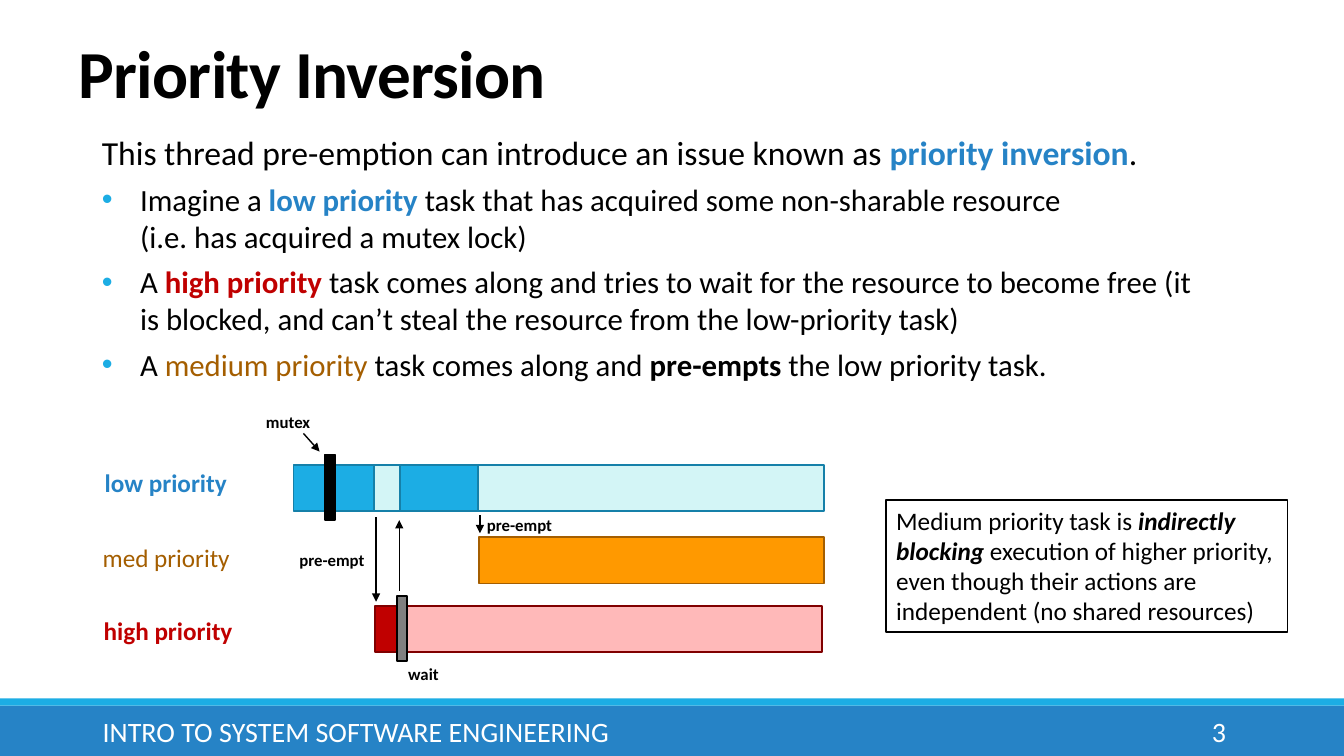
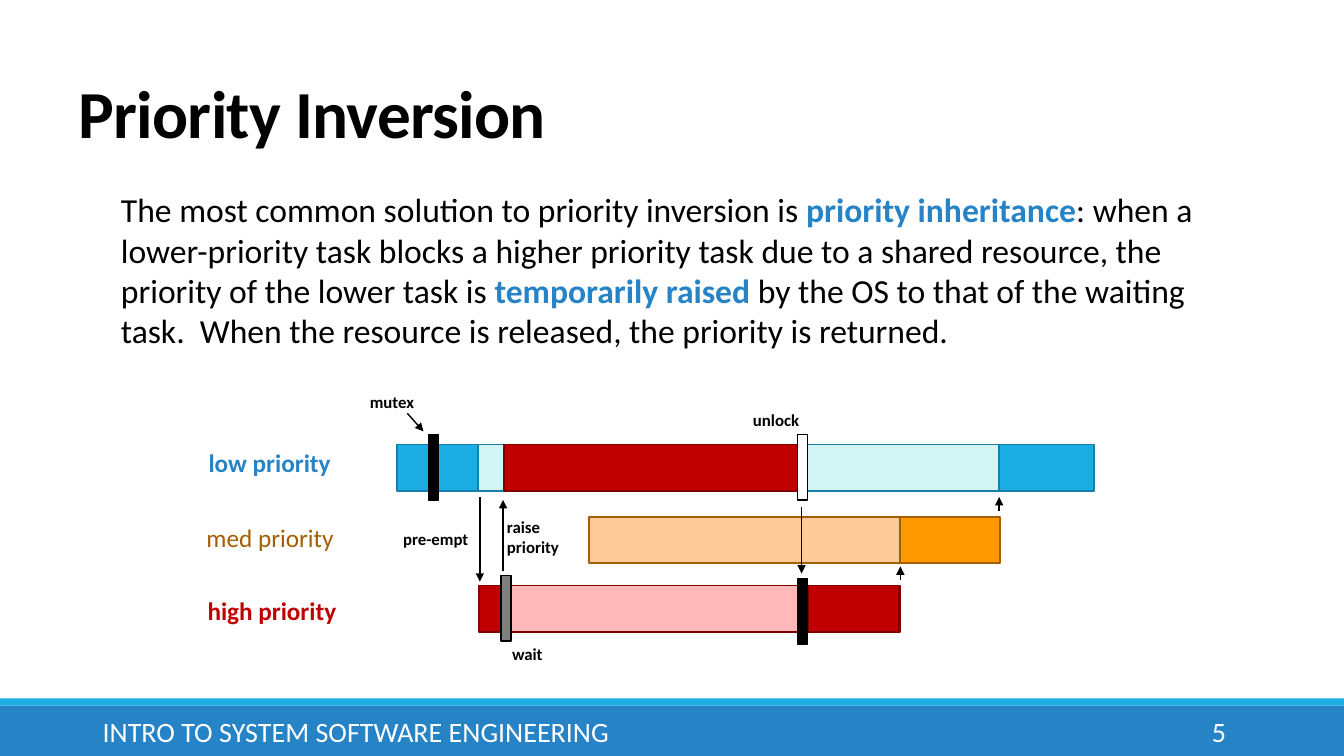
from dataclasses import dataclass
from typing import NamedTuple, Optional, Sequence

from lxml.etree import SubElement
from pptx import Presentation
from pptx.dml.color import RGBColor
from pptx.enum.shapes import MSO_CONNECTOR as Connector, MSO_SHAPE as Preset
from pptx.enum.text import MSO_ANCHOR as Anchor, MSO_AUTO_SIZE as AutoSize, PP_ALIGN as Align
from pptx.oxml.ns import qn
from pptx.util import Inches, Pt


@dataclass(frozen=True)
class Theme:
    """Colours, font and type sizes (points) of the deck."""
    font: str = "Calibri"
    black: str = "000000"
    white: str = "FFFFFF"
    grey: str = "808080"
    blue: str = "2683C6"
    sky: str = "1CADE4"
    sky_edge: str = "1580A9"
    sky_pale: str = "D3F5F6"
    red: str = "C00000"
    red_edge: str = "800000"
    red_pale: str = "FFB9B9"
    orange: str = "FF9900"
    orange_edge: str = "A45E00"
    orange_pale: str = "FFCC99"
    title: float = 48
    lead: float = 24
    bullet: float = 22
    footer: float = 20
    label: float = 18
    tag: float = 12
    outline: float = 1.25
    arrow: float = 1


THEME = Theme()


class Box(NamedTuple):
    """Left, top, width and height in inches."""
    left: float
    top: float
    width: float
    height: float


class Span(NamedTuple):
    """A stretch of text in one style."""
    text: str
    color: str = THEME.black
    bold: bool = False
    italic: bool = False


class Para(NamedTuple):
    """A paragraph of spans."""
    spans: Sequence[Span]
    size: float
    bullet: bool = False
    after: float = 0


class Paint(NamedTuple):
    """Fill and outline colours."""
    fill: str
    edge: str


class Lane(NamedTuple):
    """A task's row; top is measured from the top of the first lane."""
    name: Span
    top: float
    label: Box


class Bar(NamedTuple):
    """A period in which a task is in one state."""
    lane: Lane
    start: float
    length: float
    paint: Paint


class Gate(NamedTuple):
    """An event marker standing across a lane."""
    lane: Lane
    start: float
    fill: str
    rise: float = 0.1


class Arrow(NamedTuple):
    """A straight arrow between two points."""
    x1: float
    y1: float
    x2: float
    y2: float


class Tag(NamedTuple):
    """A small bold caption."""
    text: str
    box: Box
    wrap: bool = False


class Timeline(NamedTuple):
    """A scheduling diagram, placed by the top left of its first lane."""
    left: float
    top: float
    bars: Sequence[Bar]
    gates: Sequence[Gate]
    arrows: Sequence[Arrow]
    tags: Sequence[Tag]


LANE_HEIGHT, GATE_WIDTH, GATE_HEIGHT = 0.46, 0.1, 0.65
LOW = Lane(Span("low priority ", THEME.blue, True), 0, Box(-1.97, -0.02, 1.48, 0.4))
MED = Lane(Span("med priority ", THEME.orange_edge), 0.72, Box(-1.99, 0.72, 1.53, 0.4))
HIGH = Lane(Span("high priority ", THEME.red, True), 1.4, Box(-1.98, 1.45, 1.55, 0.4))

LOW_RUN = Paint(THEME.sky, THEME.sky_edge)
LOW_WAIT = Paint(THEME.sky_pale, THEME.sky_edge)
MED_RUN = Paint(THEME.orange, THEME.orange_edge)
MED_WAIT = Paint(THEME.orange_pale, THEME.orange_edge)
HIGH_RUN = Paint(THEME.red, THEME.red_edge)
HIGH_WAIT = Paint(THEME.red_pale, THEME.red_edge)

START_BARS = [Bar(LOW, 0, 3.42, LOW_RUN), Bar(HIGH, 0.81, 2.97, HIGH_RUN),
              Bar(LOW, 0.8, 0.26, LOW_WAIT)]
START_GATES = [Gate(LOW, 0.31, THEME.black), Gate(HIGH, 1.03, THEME.grey)]
START_ARROWS = [Arrow(0.1, -0.31, 0.26, -0.13), Arrow(0.82, 0.52, 0.82, 1.36),
                Arrow(1.05, 1.25, 1.05, 0.55)]
START_TAGS = [Tag("mutex", Box(-0.37, -0.57, 0.64, 0.3)),
              Tag("pre-empt", Box(-0.04, 0.79, 0.86, 0.3)),
              Tag("wait", Box(1.04, 1.93, 0.51, 0.3))]


def rgb(color: str) -> RGBColor:
    """Turn a hex string into a colour."""
    return RGBColor.from_string(color)


def add_bullet(para) -> None:
    """Give a paragraph a hanging sky-blue bullet."""
    props = para._p.get_or_add_pPr()
    props.set("marL", str(Inches(0.38)))
    props.set("indent", str(-Inches(0.38)))
    SubElement(SubElement(props, qn("a:buClr")), qn("a:srgbClr")).set("val", THEME.sky)
    SubElement(props, qn("a:buFont")).set("typeface", "Arial")
    SubElement(props, qn("a:buChar")).set("char", "•")


def write(frame, paras: Sequence[Para], align=Align.LEFT) -> None:
    """Fill a text frame run by run; a newline becomes a line break."""
    for index, item in enumerate(paras):
        para = frame.paragraphs[0] if index == 0 else frame.add_paragraph()
        para.alignment = align
        para.space_after = Pt(item.after)
        if item.bullet:
            add_bullet(para)
        for span in item.spans:
            for number, line in enumerate(span.text.split("\n")):
                if number:
                    para.add_line_break()
                run = para.add_run()
                run.text = line
                run.font.name, run.font.size = THEME.font, Pt(item.size)
                run.font.bold, run.font.italic = span.bold, span.italic
                run.font.color.rgb = rgb(span.color)


def add_text(page, box: Box, paras: Sequence[Para], wrap: bool = True,
             anchor=Anchor.TOP, align=Align.LEFT):
    """Add a text box and return its frame."""
    frame = page.shapes.add_textbox(*map(Inches, box)).text_frame
    frame.word_wrap = wrap
    frame.vertical_anchor = anchor
    write(frame, paras, align)
    return frame


def add_rect(page, box: Box, fill: str, edge: Optional[str] = None):
    """Add a flat rectangle, outlined when an edge colour is given."""
    rect = page.shapes.add_shape(Preset.RECTANGLE, *map(Inches, box))
    rect.shadow.inherit = False
    rect.fill.solid()
    rect.fill.fore_color.rgb = rgb(fill)
    if edge:
        rect.line.color.rgb = rgb(edge)
        rect.line.width = Pt(THEME.outline)
    else:
        rect.line.fill.background()
    return rect


def add_arrow(page, arrow: Arrow) -> None:
    """Add a thin black arrow."""
    line = page.shapes.add_connector(Connector.STRAIGHT, *map(Inches, arrow))
    line.line.color.rgb = rgb(THEME.black)
    line.line.width = Pt(THEME.arrow)
    props = line.element.spPr
    SubElement(props.find(qn("a:ln")), qn("a:tailEnd")).set("type", "triangle")
    SubElement(props, qn("a:effectLst"))


def add_page(deck, number: int, title_top: float):
    """Add a page with the shared bands, title and footer."""
    page = deck.slides.add_slide(deck.slide_layouts[6])
    add_rect(page, Box(0, 7, 13.33, 0.5), THEME.blue)
    add_rect(page, Box(0, 6.93, 13.33, 0.07), THEME.sky)
    title = add_text(page, Box(0.68, title_top, 11, 0.85),
                     [Para([Span("Priority Inversion", bold=True)], THEME.title)],
                     anchor=Anchor.BOTTOM).paragraphs[0]
    title.line_spacing = 0.85
    title.runs[0]._r.get_or_add_rPr().set("spc", "-50")
    for text, left, width, align in (
            ("INTRO TO SYSTEM SOFTWARE ENGINEERING", 0.92, 8.39, Align.LEFT),
            (str(number), 10.83, 1.43, Align.RIGHT)):
        add_text(page, Box(left, 7.06, width, 0.4),
                 [Para([Span(text, THEME.white)], THEME.footer)],
                 anchor=Anchor.MIDDLE, align=align)
    return page


def add_body(page, box: Box, paras: Sequence[Para]) -> None:
    """Add the main text, flush with its box."""
    frame = add_text(page, box, paras)
    frame.margin_left = frame.margin_right = 0


def add_timeline(page, plan: Timeline) -> None:
    """Draw bars, gates, arrows and captions over the three lanes."""
    def place(box: Box) -> Box:
        """Move a box from the diagram to the page."""
        return box._replace(left=plan.left + box.left, top=plan.top + box.top)

    for bar in plan.bars:
        add_rect(page, place(Box(bar.start, bar.lane.top, bar.length, LANE_HEIGHT)), *bar.paint)
    for gate in plan.gates:
        add_rect(page, place(Box(gate.start, gate.lane.top - gate.rise, GATE_WIDTH, GATE_HEIGHT)),
                 gate.fill, THEME.black)
    for x1, y1, x2, y2 in plan.arrows:
        add_arrow(page, Arrow(plan.left + x1, plan.top + y1, plan.left + x2, plan.top + y2))
    captions = [(lane.label, lane.name, THEME.label, False) for lane in (LOW, MED, HIGH)]
    captions += [(tag.box, Span(tag.text, bold=True), THEME.tag, tag.wrap) for tag in plan.tags]
    for box, span, size, wrap in captions:
        frame = add_text(page, place(box), [Para([span], size)], wrap)
        frame.auto_size = AutoSize.SHAPE_TO_FIT_TEXT


def build_problem(deck) -> None:
    """Explain how priority inversion arises."""
    page = add_page(deck, 3, 0.31)
    points = [
        [Span("Imagine a "), Span("low priority", THEME.blue, True),
         Span(" task that has acquired some non-sharable resource \n(i.e. has acquired a mutex lock)")],
        [Span("A "), Span("high priority ", THEME.red, True),
         Span("task comes along and tries to wait for the resource to become free "
              "(it is blocked, and can’t steal the resource from the low-priority task)")],
        [Span("A "), Span("medium priority", THEME.orange_edge), Span(" task comes along and "),
         Span("pre-empts", bold=True), Span(" the low priority task.")],
    ]
    lead = [Span("This thread pre-emption can introduce an issue known as "),
            Span("priority inversion", THEME.blue, True), Span(".")]
    add_body(page, Box(1.01, 1.26, 11, 3.1), [Para(lead, THEME.lead, after=6)]
             + [Para(point, THEME.bullet, True, 6) for point in points])
    add_timeline(page, Timeline(
        2.91, 4.61,
        START_BARS + [Bar(HIGH, 1.03, 4.21, HIGH_WAIT), Bar(MED, 1.84, 3.42, MED_RUN),
                      Bar(LOW, 1.83, 3.43, LOW_WAIT)],
        START_GATES,
        START_ARROWS + [Arrow(1.85, 0.5, 1.85, 0.68)],
        START_TAGS + [Tag("pre-empt", Box(1.82, 0.45, 0.86, 0.3))]))
    note = add_rect(page, Box(8.79, 4.96, 3.98, 1.31), THEME.white, THEME.black).text_frame
    note.word_wrap = True
    note.vertical_anchor = Anchor.TOP
    write(note, [Para([
        Span("Medium priority task is "), Span("indirectly blocking", bold=True, italic=True),
        Span(" execution of higher priority, even though their actions are independent "
             "(no shared resources)")], THEME.label)])


def build_solution(deck) -> None:
    """Show priority inheritance as the remedy."""
    page = add_page(deck, 5, 0.71)
    add_body(page, Box(1.2, 1.83, 11, 2.2), [Para([
        Span("The most common solution to priority inversion is "),
        Span("priority inheritance", THEME.blue, True),
        Span(": when a lower-priority task blocks a higher priority task due to a shared "
             "resource, the priority of the lower task is "),
        Span("temporarily raised ", THEME.blue, True),
        Span("by the OS to that of the waiting task.  When the resource is released, "
             "the priority is returned.")], THEME.lead, after=6)])
    add_timeline(page, Timeline(
        3.94, 4.41,
        START_BARS + [Bar(HIGH, 1.03, 3.96, HIGH_WAIT), Bar(LOW, 1.83, 4.95, LOW_WAIT),
                      Bar(MED, 1.9, 3.89, MED_WAIT), Bar(LOW, 1.06, 2.97, HIGH_RUN),
                      Bar(HIGH, 4.08, 0.9, HIGH_RUN), Bar(MED, 4.99, 0.99, MED_RUN),
                      Bar(LOW, 5.97, 0.94, LOW_RUN)],
        START_GATES + [Gate(LOW, 3.97, THEME.white), Gate(HIGH, 3.97, THEME.black, 0.07)],
        START_ARROWS + [Arrow(4.01, 0.62, 4.01, 1.28), Arrow(4.99, 1.34, 4.99, 1.21),
                        Arrow(5.97, 0.66, 5.97, 0.52)],
        START_TAGS + [Tag("unlock", Box(3.43, -0.39, 0.76, 0.3), True),
                      Tag("raise\npriority", Box(0.99, 0.67, 0.72, 0.5))]))


def main() -> None:
    """Build and save the deck."""
    deck = Presentation()
    deck.slide_width, deck.slide_height = Inches(13.33), Inches(7.5)
    build_problem(deck)
    build_solution(deck)
    deck.save("out.pptx")


main()
